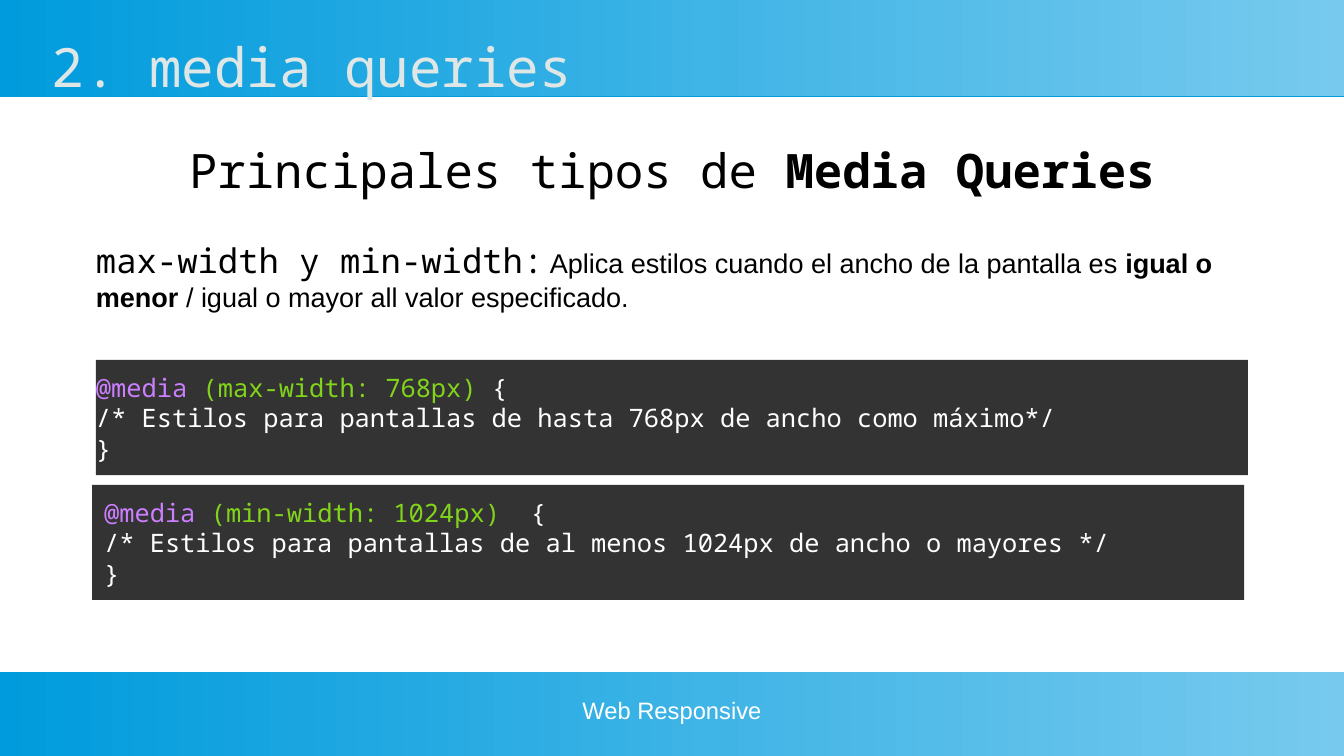
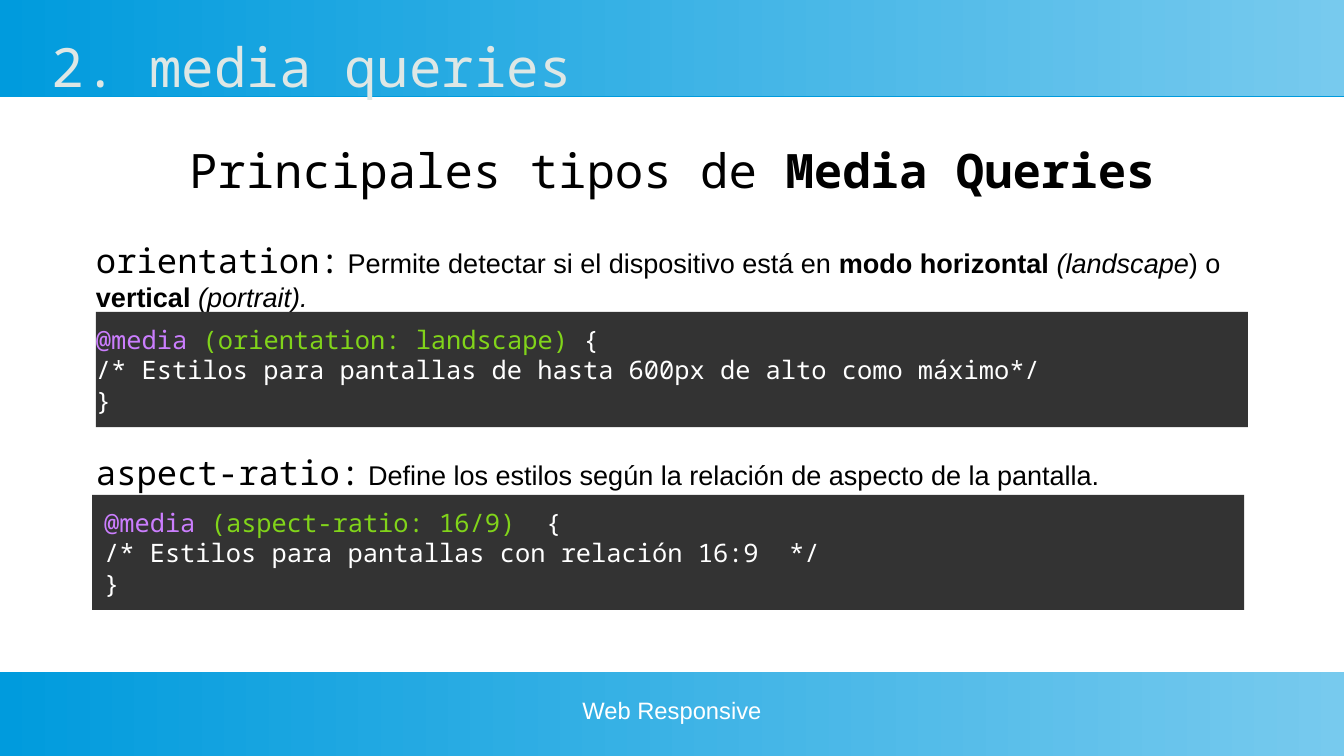
from pptx import Presentation
from pptx.dml.color import RGBColor
from pptx.enum.shapes import MSO_SHAPE
from pptx.enum.text import MSO_ANCHOR, MSO_AUTO_SIZE, PP_ALIGN
from pptx.oxml import parse_xml
from pptx.util import Cm, Pt

RECT = MSO_SHAPE.RECTANGLE
TOP, MIDDLE = MSO_ANCHOR.TOP, MSO_ANCHOR.MIDDLE
LEFT, CENTER = PP_ALIGN.LEFT, PP_ALIGN.CENTER
FIXED = MSO_AUTO_SIZE.NONE
TITLE_ONLY = 5
DRAWING_NS = "http://schemas.openxmlformats.org/drawingml/2006/main"

COLS, ROWS = 28, 15.75
MARGIN, CONTENT = 2, 24
SLIDE_TITLE = "2. media queries"
HEADING = [("Principales tipos de ", "heading"), ("Media Queries", "heading_bold")]
FOOTER = "Web Responsive"


def rgb(value):
    """Turn a hex string into a colour."""
    return RGBColor.from_string(value)


class Deck:
    """Hold the shared style and the current slide."""

    MONO, SANS = "Noto Sans Mono", "Arial"
    BLUE, SKY, DARK = "009BDD", "77CAEE", "333333"
    BLACK, WHITE = "000000", "FFFFFF"
    STYLES = {
        "title": (MONO, 32, "DEE7E5", False, False),
        "heading": (MONO, 28, BLACK, False, False),
        "heading_bold": (MONO, 28, BLACK, True, False),
        "term": (MONO, 20, BLACK, False, False),
        "body": (SANS, 16, BLACK, False, False),
        "bold": (SANS, 16, BLACK, True, False),
        "italic": (SANS, 16, BLACK, False, True),
        "keyword": (MONO, 15, "CB7EFE", False, False),
        "condition": (MONO, 15, "81D41A", False, False),
        "code": (MONO, 15, WHITE, False, False),
        "footer": (SANS, 14, WHITE, False, False),
    }

    def __init__(self):
        """Start a deck whose grid cells are one centimetre square."""
        self.prs = Presentation()
        self.prs.slide_width, self.prs.slide_height = Cm(COLS), Cm(ROWS)
        self.s = None

    def box(self, col, row, cols, rows):
        """Convert grid cells to lengths."""
        return [Cm(n) for n in (col, row, cols, rows)]

    def style(self, r, name):
        """Format a run with a named style."""
        font = r.font
        font.name, size, color, font.bold, font.italic = self.STYLES[name]
        font.size = Pt(size)
        font.color.rgb = rgb(color)

    def frame(self, sp, anchor=TOP, inset=(0, 0)):
        """Prepare the text frame of a shape."""
        tf = sp.text_frame
        tf.word_wrap, tf.auto_size, tf.vertical_anchor = True, FIXED, anchor
        tf.margin_left = tf.margin_right = Cm(inset[0])
        tf.margin_top = tf.margin_bottom = Cm(inset[1])
        return tf

    def add_lines(self, tf, lines, align=LEFT):
        """Add lines made of (text, style) runs."""
        for i, line in enumerate(lines):
            p = tf.add_paragraph() if i else tf.paragraphs[0]
            p.alignment = align
            for text, name in line:
                r = p.add_run()
                r.text = text
                self.style(r, name)

    def slide(self):
        """Start a slide with its title, bands, heading and footer."""
        self.s = self.prs.slides.add_slide(self.prs.slide_layouts[TITLE_ONLY])
        self.title(SLIDE_TITLE)
        self.band(0, 2)
        self.band(14, ROWS - 14)
        self.text(2.95, 1, HEADING, align=CENTER)
        self.text(14.5, 1, [(FOOTER, "footer")], 9.5, 9, CENTER)

    def title(self, text):
        """Fill and place the title placeholder."""
        sp = self.s.shapes.title
        sp.left, sp.top, sp.width, sp.height = self.box(1, -0.53, 11, 3.12)
        tf = self.frame(sp, MIDDLE)
        tf.text = text
        p = tf.paragraphs[0]
        p.alignment, p.line_spacing = CENTER, 1.5
        p.space_before = p.space_after = Pt(5.7)
        self.style(p.runs[0], "title")

    def band(self, row, rows):
        """Draw a full-width gradient band behind the title."""
        sp = self.s.shapes.add_shape(RECT, *self.box(0, row, COLS, rows))
        sp.line.fill.background()
        sp.fill.gradient()
        sp.fill.gradient_angle = 0
        for stop, color in zip(sp.fill.gradient_stops, (self.BLUE, self.SKY)):
            stop.color.rgb = rgb(color)
        sp.element.spPr.append(parse_xml(
            f'<a:effectLst xmlns:a="{DRAWING_NS}">'
            f'<a:outerShdw dist="{Pt(0.9)}" dir="5400000" rotWithShape="0">'
            f'<a:srgbClr val="{self.BLUE}"/></a:outerShdw></a:effectLst>'))
        self.s.shapes.title.element.addprevious(sp.element)

    def text(self, row, rows, runs, col=MARGIN, cols=CONTENT, align=LEFT):
        """Add a one-paragraph text box."""
        sp = self.s.shapes.add_textbox(*self.box(col, row, cols, rows))
        self.add_lines(self.frame(sp), [runs], align)

    def code(self, row, condition, comment, col=MARGIN, inset=(0, 0)):
        """Add a dark panel with a highlighted media query."""
        sp = self.s.shapes.add_shape(RECT, *self.box(col, row, CONTENT, 2.4))
        sp.shadow.inherit = False
        sp.fill.solid()
        sp.fill.fore_color.rgb = rgb(self.DARK)
        sp.line.fill.background()
        self.add_lines(self.frame(sp, MIDDLE, inset), [
            [("@media ", "keyword"), (condition, "condition"), (" {", "code")],
            [(comment, "code")],
            [("}", "code")],
        ])


def main():
    """Build and save the slides."""
    deck = Deck()
    padded = {"col": 1.92, "inset": (0.25, 0.13)}

    deck.slide()
    deck.text(5, 1.6, [
        ("max-width y min-width:", "term"),
        (" Aplica estilos cuando el ancho de la pantalla es", "body"),
        (" igual o menor", "bold"),
        (" / igual o mayor all valor especificado.", "body"),
    ])
    deck.code(7.5, "(max-width: 768px)",
              "/* Estilos para pantallas de hasta 768px de ancho como máximo*/")
    deck.code(10.1, "(min-width: 1024px) ",
              "/* Estilos para pantallas de al menos 1024px de ancho o mayores */", **padded)

    deck.slide()
    deck.text(5, 1.6, [
        ("orientation:", "term"),
        (" Permite detectar si el dispositivo está en ", "body"),
        ("modo horizontal ", "bold"),
        ("(landscape", "italic"),
        (") o ", "body"),
        ("vertical ", "bold"),
        ("(portrait).", "italic"),
    ])
    deck.code(6.5, "(orientation: landscape)",
              "/* Estilos para pantallas de hasta 600px de alto como máximo*/")
    deck.text(9.4, 0.9, [
        ("aspect-ratio:", "term"),
        (" Define los estilos según la relación de aspecto de la pantalla.", "body"),
    ])
    deck.code(10.31, "(aspect-ratio: 16/9) ",
              "/* Estilos para pantallas con relación 16:9  */", **padded)

    deck.prs.save("out.pptx")


if __name__ == "__main__":
    main()
